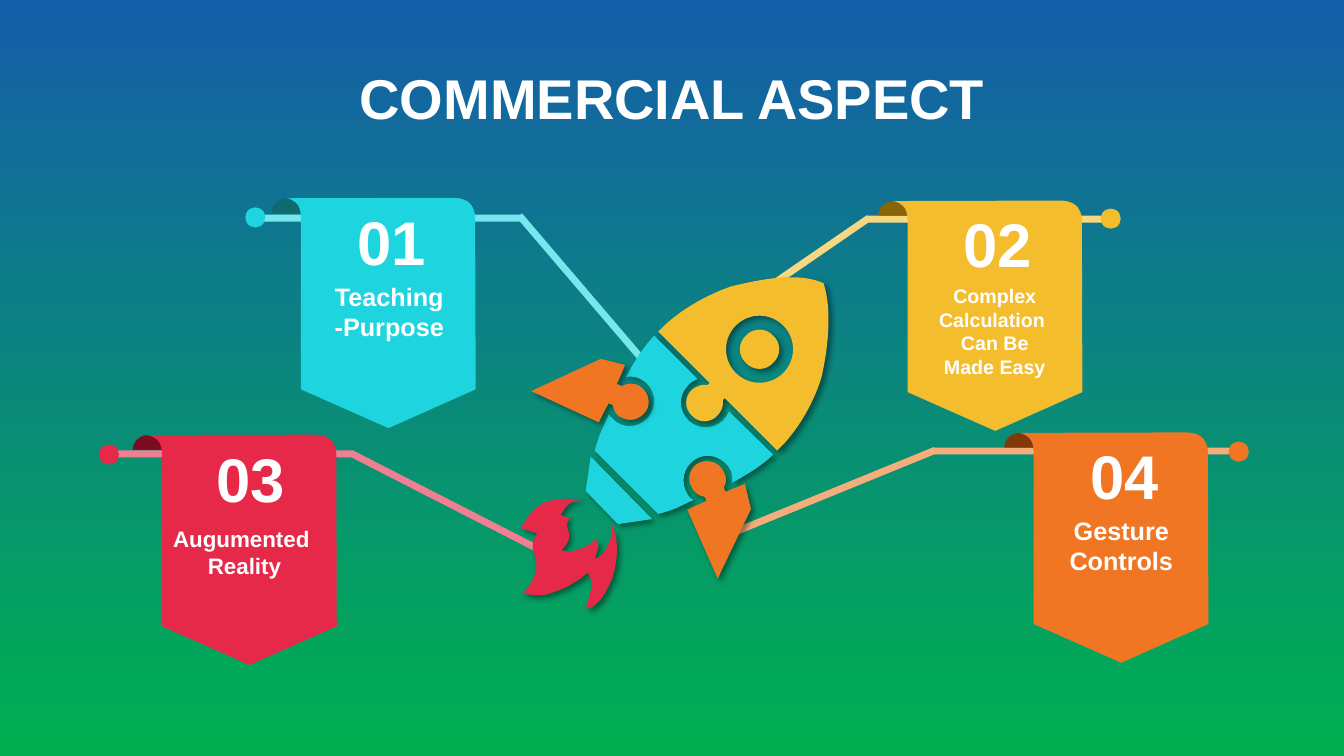
import math
from dataclasses import dataclass
from typing import Any, NamedTuple

from lxml import etree
from pptx import Presentation
from pptx import util as u
from pptx.dml.color import RGBColor
from pptx.enum import shapes, text
from pptx.oxml import ns

WHITE = RGBColor(0xFF, 0xFF, 0xFF)
GREEN = RGBColor(0x00, 0xB0, 0x50)
BLUE = RGBColor(0x15, 0x5E, 0xA9)
ORANGE = RGBColor(0xF0, 0x76, 0x24)
ORANGE_LIGHT = RGBColor(0xF6, 0xAD, 0x7C)
ORANGE_DARK = RGBColor(0x81, 0x39, 0x09)
RED = RGBColor(0xE6, 0x29, 0x49)
RED_LIGHT = RGBColor(0xF0, 0x7F, 0x92)
RED_DARK = RGBColor(0x79, 0x0E, 0x20)
CYAN = RGBColor(0x1E, 0xD4, 0xDE)
CYAN_LIGHT = RGBColor(0x77, 0xE6, 0xED)
CYAN_DARK = RGBColor(0x0F, 0x6A, 0x6F)
YELLOW = RGBColor(0xF4, 0xBD, 0x2D)
YELLOW_LIGHT = RGBColor(0xF8, 0xD7, 0x81)
YELLOW_DARK = RGBColor(0x89, 0x65, 0x07)

FONT = "Arial"
OUTLINE_UNIT = 0.72
RAIL_THICKNESS = 5
DOT_SIZE = 14.4

FOLD = "M 15 15 L -15 15 C -15 7 -8 0.5 0 0.5 C 8 0.5 15 7 15 15"
RIBBON = ("M 0 0.5 L 165 0 C 190 0 187 21 187 26 L 187.5 190 L 101 228.5 "
          "L 14 190 L 14 26 C 14 17 16 4 0 0.5")
BODY = (
    "M 586 453 L 647 515 L 613 520 L 581 487 "
    "M 649 333 L 692 376 C 689 378 685 379 683 382 C 673 392 673 407 683 417 "
    "C 692 426 708 426 717 417 C 720 414 722 411 723 408 L 767 451 "
    "C 758 460 743 470 726 479 C 727 475 726 471 725 467 C 719 455 705 449 693 454 "
    "C 680 460 675 474 680 486 C 682 491 684 494 688 496 L 669 505 "
    "C 663 507 657 509 653 510 L 590 447 C 591 443 593 437 595 431 L 604 411 "
    "C 607 415 611 419 616 421 C 628 426 643 419 647 407 C 652 394 646 380 633 375 "
    "C 629 374 625 373 621 374 C 630 357 640 342 649 333")
FLAME = (
    "M 607 520 C 613 534 614 551 608 572 C 605 579 596 603 581 604 "
    "C 587 582 590 581 583 568 C 575 576 564 581 561 583 C 540 591 542 592 518 589 "
    "C 536 571 533 559 530 549 C 527 542 529 535 533 529 C 527 528 522 525 516 524 "
    "C 522 518 527 502 545 497 C 553 495 566 494 578 496 L 571 497 "
    "C 561 499 559 508 556 511 C 559 512 562 513 565 514 C 563 517 562 521 563 524 "
    "C 565 530 567 536 557 546 C 570 548 568 547 580 543 C 582 542 587 539 591 535 "
    "C 595 542 594 542 590 554 C 599 553 603 541 605 537 C 607 530 608 525 607 520")
NOSE = (
    "M 767 333 C 775 340 775 353 767 360 C 760 368 747 368 740 360 "
    "C 732 353 732 340 740 333 C 747 325 760 325 767 333 "
    "M 777 323 C 764 310 743 310 730 323 C 717 336 717 357 730 370 "
    "C 743 383 764 383 777 370 C 790 357 790 336 777 323 "
    "M 817 281 C 826 308 821 348 815 374 C 808 398 792 427 772 446 L 771 447 "
    "L 719 395 L 717 397 C 718 402 716 408 712 412 C 705 420 693 420 686 412 "
    "C 679 405 679 394 686 387 C 691 383 696 381 702 382 L 704 380 L 653 329 "
    "C 653 329 653 328 654 328 C 673 308 702 292 726 284 C 751 278 791 269 817 281")
LOWER_FIN = (
    "M 712 574 L 682 506 C 687 503 694 500 701 497 L 699 493 C 693 492 688 488 686 483 "
    "C 681 474 685 463 694 459 C 703 455 714 459 718 468 C 721 473 721 479 718 484 "
    "L 720 488 C 726 485 733 483 739 480 L 745 505")
UPPER_FIN = (
    "M 527 388 L 594 419 C 597 413 600 407 604 400 L 608 402 C 609 408 612 413 618 415 "
    "C 627 419 637 415 642 406 C 646 397 642 387 633 382 C 628 380 622 380 617 383 "
    "L 612 381 C 615 374 618 368 620 362 L 596 356")
ROCKET = [(BODY, CYAN), (FLAME, RED), (NOSE, YELLOW), (LOWER_FIN, ORANGE), (UPPER_FIN, ORANGE)]


class Box(NamedTuple):
    left: float
    top: float
    width: float
    height: float

    def lengths(self) -> list[u.Length]:
        return [u.Pt(value) for value in self]


class Point(NamedTuple):
    x: float
    y: float


@dataclass
class Banner:
    number: str
    number_box: Box
    caption: list[str]
    caption_size: int
    caption_box: Box
    corner: Point
    rail: Box
    arm: Box
    arm_rotation: float
    dot: Point
    colors: tuple[RGBColor, RGBColor, RGBColor]


BANNERS = [
    Banner("04", Box(767.9, 309.2, 70.6, 60.5), ["Gesture\nControls"], 18,
           Box(753.8, 364.3, 94.3, 51), Point(728.2, 308.9),
           Box(666.7, 319.7, 215.3, RAIL_THICKNESS), Box(517.7, 348.5, 156.2, RAIL_THICKNESS),
           157.8, Point(877.7, 315.4), (ORANGE, ORANGE_LIGHT, ORANGE_DARK)),
    Banner("03", Box(143.6, 311.3, 70.6, 60.5), ["Augumented \nReality"], 16,
           Box(115.2, 371.5, 118.8, 46), Point(105.6, 310.5),
           Box(79.9, 321.8, 172.8, RAIL_THICKNESS), Box(242.6, 356.4, 153.4, RAIL_THICKNESS),
           27.1, Point(70.6, 317.5), (RED, RED_LIGHT, RED_DARK)),
    Banner("01", Box(244.4, 142, 70.6, 60.5), ["Teaching-Purpose"], 18,
           Box(230.9, 197.3, 94.3, 51), Point(204.8, 141.3),
           Box(183.6, 153.4, 190.1, RAIL_THICKNESS), Box(346.3, 205.2, 141.1, RAIL_THICKNESS),
           49.5, Point(175.2, 148.1), (CYAN, CYAN_LIGHT, CYAN_DARK)),
    Banner("02", Box(677.2, 143.5, 70.6, 60.5), ["Complex Calculation ", "Can Be Made Easy"], 14,
           Box(663.4, 199.4, 94.3, 75), Point(638.2, 143.3),
           Box(619.2, 154.1, 178.6, RAIL_THICKNESS), Box(501.8, 190.1, 130.3, RAIL_THICKNESS),
           145.5, Point(786.2, 149), (YELLOW, YELLOW_LIGHT, YELLOW_DARK)),
]


def paint(shape: Any, color: RGBColor) -> None:
    shape.shadow.inherit = False
    shape.fill.solid()
    shape.fill.fore_color.rgb = color
    shape.line.fill.background()


def add_preset(group: Any, preset: Any, box: Box, color: RGBColor, rotation: float = 0) -> None:
    shape = group.shapes.add_shape(preset, *box.lengths())
    shape.rotation = rotation
    paint(shape, color)


def turn(point: Point, degrees: float) -> Point:
    cosine, sine = math.cos(math.radians(degrees)), math.sin(math.radians(degrees))
    return Point(point.x * cosine - point.y * sine, point.x * sine + point.y * cosine)


def read_contour(contour: str, corner: Point, rotation: float) -> list[Point]:
    numbers = [OUTLINE_UNIT * float(token) for token in contour.split() if token not in "LC"]
    return [turn(Point(corner.x + x, corner.y + y), -rotation)
            for x, y in zip(numbers[::2], numbers[1::2])]


def bend(shape: Any, outline: str) -> None:
    nodes = iter(list(shape._element.iter(ns.qn("a:moveTo"), ns.qn("a:lnTo"))))
    for command in filter(str.isalpha, outline):
        node = next(nodes)
        if command == "C":
            node.tag = ns.qn("a:cubicBezTo")
            for follower in (next(nodes), next(nodes)):
                node.append(follower[0])
                follower.getparent().remove(follower)


def add_outline(group: Any, outline: str, color: RGBColor, corner: Point = Point(0, 0),
                rotation: float = 0) -> Any:
    contours = [read_contour(part, corner, rotation) for part in outline.split("M ")[1:]]
    xs, ys = zip(*(point for contour in contours for point in contour))
    center = Point((min(xs) + max(xs)) / 2, (min(ys) + max(ys)) / 2)
    target = turn(center, rotation)
    placed = [[(u.Pt(point.x + target.x - center.x), u.Pt(point.y + target.y - center.y))
               for point in contour] for contour in contours]
    builder = group.shapes.build_freeform(*placed[0][0], scale=1.0)
    for index, contour in enumerate(placed):
        if index:
            builder.move_to(*contour[0])
        builder.add_line_segments(contour[1:], close=True)
    shape = builder.convert_to_shape()
    shape.rotation = rotation
    bend(shape, outline)
    paint(shape, color)
    return shape


def add_shadow(shape: Any) -> None:
    effects = shape._element.spPr.find(ns.qn("a:effectLst"))
    shadow = etree.SubElement(effects, ns.qn("a:outerShdw"), blurRad=str(u.Pt(4)),
                              dist=str(u.Pt(3)), dir="2700000", algn="tl", rotWithShape="0")
    color = etree.SubElement(shadow, ns.qn("a:srgbClr"), val="000000")
    etree.SubElement(color, ns.qn("a:alpha"), val="40000")


def add_text(slide: Any, box: Box, lines: list[str], size: int, wrap: bool = True) -> None:
    frame = slide.shapes.add_textbox(*box.lengths()).text_frame
    frame.word_wrap = wrap
    frame.auto_size = text.MSO_AUTO_SIZE.SHAPE_TO_FIT_TEXT
    for index, line in enumerate(lines):
        paragraph = frame.add_paragraph() if index else frame.paragraphs[0]
        paragraph.text = line
        paragraph.alignment = text.PP_ALIGN.CENTER if wrap else text.PP_ALIGN.LEFT
        font = paragraph.font
        font.name, font.size, font.bold = FONT, u.Pt(size), True
        font.color.rgb = WHITE


def add_banner(slide: Any, banner: Banner) -> None:
    color, light, dark = banner.colors
    pole = slide.shapes.add_group_shape()
    add_preset(pole, shapes.MSO_SHAPE.RECTANGLE, banner.rail, light)
    add_preset(pole, shapes.MSO_SHAPE.RECTANGLE, banner.arm, light, banner.arm_rotation)
    add_preset(pole, shapes.MSO_SHAPE.OVAL, Box(*banner.dot, DOT_SIZE, DOT_SIZE), color)
    flag = slide.shapes.add_group_shape()
    add_outline(flag, FOLD, dark, banner.corner, 90)
    add_outline(flag, RIBBON, color, banner.corner)


def main() -> None:
    presentation = Presentation()
    presentation.slide_width, presentation.slide_height = u.Pt(960), u.Pt(540)
    slide = presentation.slides.add_slide(presentation.slide_layouts[6])
    background = slide.background.fill
    background.gradient()
    background.gradient_angle = 90
    for stop, color in zip(background.gradient_stops, (GREEN, BLUE)):
        stop.color.rgb = color
    for banner in BANNERS:
        add_banner(slide, banner)
    rocket = slide.shapes.add_group_shape()
    for outline, color in ROCKET:
        add_shadow(add_outline(rocket, outline, color, rotation=45))
    for banner in [BANNERS[index] for index in (2, 1, 0, 3)]:
        add_text(slide, banner.number_box, [banner.number], 44)
        add_text(slide, banner.caption_box, banner.caption, banner.caption_size)
    add_text(slide, Box(249.8, 41.8, 476.6, 55.4), ["COMMERCIAL ASPECT"], 40, wrap=False)
    presentation.save("out.pptx")


if __name__ == "__main__":
    main()
